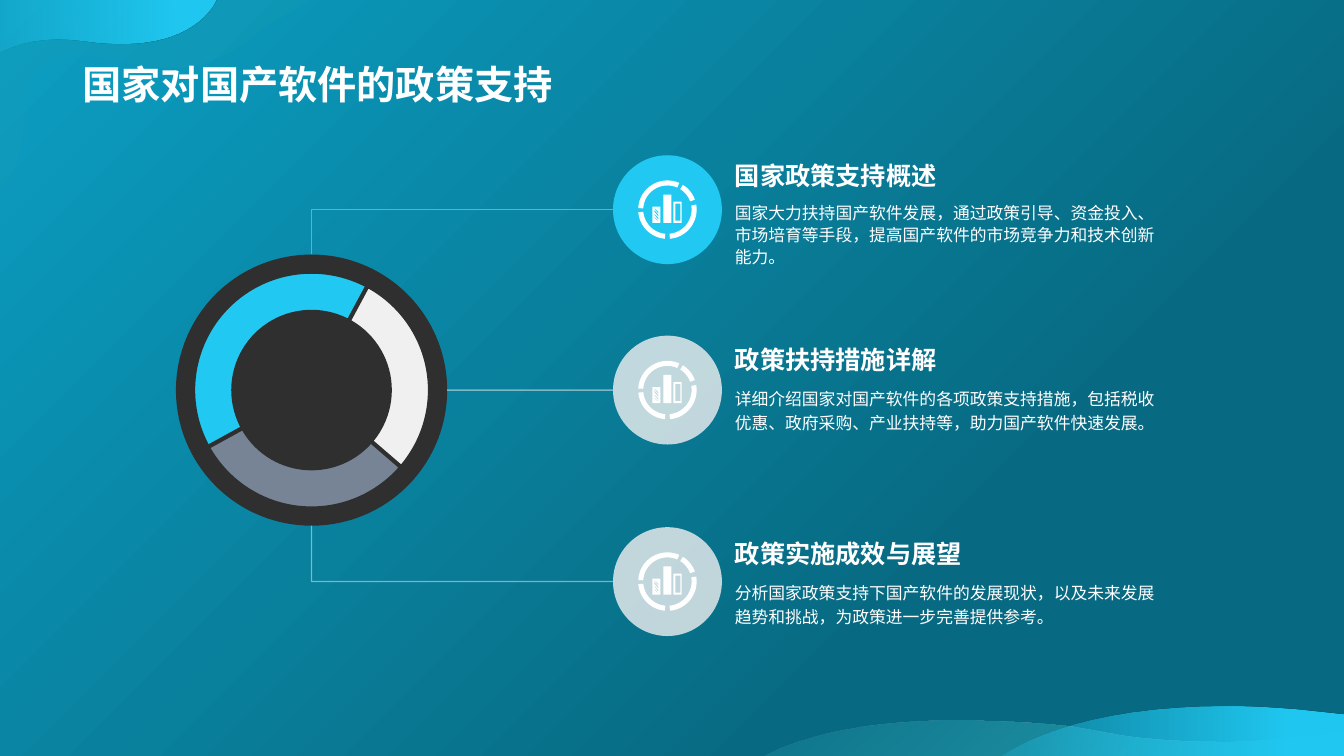
import math
from lxml import etree
from pptx import Presentation, util as u
from pptx.dml.color import RGBColor
from pptx.enum import shapes, text
from pptx.oxml.ns import qn

COLORS = {
    "bg_light": "0B9FC3", "bg_dark": "086A82", "cyan": "21C9F2", "teal": "29A0B0",
    "dark": "2F2F2F", "slate": "778495", "pale": "F0F0F0", "white": "FFFFFF",
}
FONT = "Arial"
TITLE = "国家对国产软件的政策支持"

ROWS = [
    dict(head="国家政策支持概述",
         body="国家大力扶持国产软件发展，通过政策引导、资金投入、市场培育等手段，提高国产软件的市场竞争力和技术创新能力。",
         top=1.54, head_top=1.54, spacing=1.1, circle=("cyan", 100),
         line=("cyan", 0.5, 100)),
    dict(head="政策扶持措施详解",
         body="详细介绍国家对国产软件的各项政策支持措施，包括税收优惠、政府采购、产业扶持等，助力国产软件快速发展。",
         top=3.33, head_top=3.37, spacing=1.2, circle=("pale", 80),
         line=("pale", 1, 50)),
    dict(head="政策实施成效与展望",
         body="分析国家政策支持下国产软件的发展现状，以及未来发展趋势和挑战，为政策进一步完善提供参考。",
         top=5.23, head_top=5.29, spacing=1.2, circle=("pale", 80),
         line=("pale", 1, 50)),
]

WAVES = [
    (dict(stops=[("teal", 0, 20), ("teal", 100, 100)], angle=50),
     [(9.56, 7.15), (9.89, 7.15, 10.38, 7.17, 10.7, 7.22),
      (11.03, 7.27, 11.79, 7.46, 13.19, 7.28), (13.33, 7.26), (13.33, 7.5),
      (7.57, 7.5), (7.65, 7.45, 8.23, 7.14, 9.56, 7.15)]),
    (dict(stops=[("cyan", 0, 20), ("cyan", 85, 100)], angle=0),
     [(12.19, 7.01), (12.47, 7.01, 12.79, 7.03, 13.13, 7.07), (13.33, 7.09),
      (13.33, 7.5), (9.93, 7.5), (10.03, 7.43, 10.68, 7, 12.19, 7.01)]),
    (dict(color="teal", alpha=15),
     [(-0.02, 1.86), (-0.02, 1.86, 0.26, 1.77, 0.24, 0.94),
      (0.24, 0.85, 0.36, 0.44, 1.14, 0.59), (1.57, 0.69, 1.99, 0.8, 2.55, 0.33),
      (2.63, 0.26, 3.08, 0, 3.08, 0), (0, 0)]),
    (dict(stops=[("cyan", 0, 20), ("cyan", 85, 100)], angle=0),
     [(0, 0), (2.15, 0), (2.12, 0.06), (1.9, 0.38, 1.44, 0.49, 0.85, 0.41),
      (0.42, 0.35, 0.15, 0.44, 0.02, 0.51), (0, 0.52)]),
]

RING_ARCS = [(95, 175), (-10, 85), (-58, -20), (183, 294)]
BARS = [(-0.15, -0.03, -0.07, 0.13), (-0.04, -0.15, 0.04, 0.13),
        (0.06, -0.08, 0.14, 0.13)]
BAR_HOLE = (0.08, -0.06, 0.13, 0.11)
HATCH = [
    [(-0.13, 0.1), (-0.13, 0.11), (-0.12, 0.11)],
    [(-0.13, 0.07), (-0.13, 0.08), (-0.1, 0.11), (-0.09, 0.11)],
    [(-0.13, 0.04), (-0.13, 0.05), (-0.09, 0.1), (-0.09, 0.08)],
    [(-0.13, 0), (-0.13, 0.02), (-0.09, 0.07), (-0.09, 0.05)],
    [(-0.13, -0.01), (-0.09, 0.04), (-0.09, 0.02), (-0.12, -0.01)],
    [(-0.1, -0.01), (-0.09, 0), (-0.09, -0.01)],
]

DIAL_X, DIAL_Y, DIAL_D, RING_D = 3.09, 3.87, 2.69, 2.35
CIRCLE_X, CIRCLE_D = 6.08, 1.08
TEXT_X, TEXT_W, HEAD_H, BODY_H = 7.19, 4.4, 0.4, 0.76


def paint(color_format, name, alpha=100):
    color_format.rgb = RGBColor.from_string(COLORS[name])
    if alpha < 100:
        clr = next(color_format._xFill.iter(qn("a:srgbClr")))
        etree.SubElement(clr, qn("a:alpha")).set("val", str(alpha * 1000))


def fill_solid(fill, name, alpha=100):
    fill.solid()
    paint(fill.fore_color, name, alpha)


def fill_gradient(fill, stops, angle):
    fill.gradient()
    fill.gradient_angle = (360 - angle) % 360
    for stop, (name, pos, alpha) in zip(fill.gradient_stops, stops):
        stop.position = pos / 100
        stop.color.rgb = RGBColor.from_string(COLORS[name])
        if alpha < 100:
            clr = next(stop._gs.iter(qn("a:srgbClr")))
            etree.SubElement(clr, qn("a:alpha")).set("val", str(alpha * 1000))


def put_text(sp, content, size, bold=False, spacing=None, anchor=text.MSO_ANCHOR.TOP):
    tf = sp.text_frame
    tf.word_wrap = True
    tf.auto_size = text.MSO_AUTO_SIZE.NONE
    tf.vertical_anchor = anchor
    p = tf.paragraphs[0]
    p.alignment = text.PP_ALIGN.LEFT
    if spacing:
        p.line_spacing = spacing
    r = p.add_run()
    r.text = content
    r.font.size, r.font.bold, r.font.name = u.Pt(size), bold, FONT
    paint_font = r.font.color
    paint_font.rgb = RGBColor.from_string(COLORS["white"])


def place(sp, x, y, w, h):
    sp.left, sp.top, sp.width, sp.height = (u.Inches(v) for v in (x, y, w, h))


def add_round(s, kind, x, y, d, color, alpha=100, outline=None, adj=()):
    sp = s.shapes.add_shape(kind, *(u.Inches(v) for v in (x, y, d, d)))
    sp.shadow.inherit = False
    fill_solid(sp.fill, color, alpha)
    if outline:
        fill_solid(sp.line.fill, outline)
        sp.line.width = u.Pt(3)
    else:
        sp.line.fill.background()
    for i, value in enumerate(adj):
        sp.adjustments[i] = value


def flatten(path, steps=16):
    points = [path[0]]
    for seg in path[1:]:
        if len(seg) == 2:
            points.append(seg)
            continue
        ctrl = [points[-1], seg[:2], seg[2:4], seg[4:]]
        for k in range(1, steps + 1):
            t = k / steps
            weights = [(1 - t) ** 3, 3 * t * (1 - t) ** 2, 3 * t * t * (1 - t), t ** 3]
            points.append(tuple(sum(w * c[i] for w, c in zip(weights, ctrl))
                                for i in (0, 1)))
    return points


def add_outline(s, contours, dx=0, dy=0):
    emu = [[(u.Inches(x + dx), u.Inches(y + dy)) for x, y in c] for c in contours]
    fb = s.shapes.build_freeform(*emu[0][0], scale=1.0)
    for i, c in enumerate(emu):
        if i:
            fb.move_to(*c[0])
        fb.add_line_segments(c[1:], close=True)
    sp = fb.convert_to_shape()
    sp.shadow.inherit = False
    sp.line.fill.background()
    return sp


def ring_arc(start, end, inner=0.24, outer=0.29, steps=16):
    angles = [math.radians(start + (end - start) * k / steps) for k in range(steps + 1)]
    return ([(outer * math.cos(a), outer * math.sin(a)) for a in angles]
            + [(inner * math.cos(a), inner * math.sin(a)) for a in reversed(angles)])


def rect(x1, y1, x2, y2):
    return [(x1, y1), (x2, y1), (x2, y2), (x1, y2)]


def add_link(s, start, end, color, width, alpha):
    straight = start[1] == end[1]
    kind = shapes.MSO_CONNECTOR.STRAIGHT if straight else shapes.MSO_CONNECTOR.ELBOW
    cn = s.shapes.add_connector(kind, *(u.Inches(v) for v in start + end))
    if not straight:
        cn._element.spPr.find(qn("a:prstGeom")).set("prst", "bentConnector2")
    fill_solid(cn.line.fill, color, alpha)
    cn.line.width = u.Pt(width)
    etree.SubElement(cn._element.spPr, qn("a:effectLst"))


def main():
    prs = Presentation()
    prs.slide_width, prs.slide_height = u.Inches(13.33), u.Inches(7.5)
    s = prs.slides.add_slide(prs.slide_layouts[5])
    fill_gradient(s.background.fill, [("bg_light", 0, 100), ("bg_dark", 72, 100)], 45)

    for style, path in WAVES:
        sp = add_outline(s, [flatten(path)])
        if "stops" in style:
            fill_gradient(sp.fill, **style)
        else:
            fill_solid(sp.fill, style["color"], style["alpha"])

    title = s.shapes.title
    place(title, 0.72, 0.14, 11.88, 0.98)
    put_text(title, TITLE, 28, bold=True, anchor=text.MSO_ANCHOR.BOTTOM)
    s.shapes._spTree.append(title._element)

    kinds = shapes.MSO_SHAPE
    radius = DIAL_D / 2
    add_round(s, kinds.OVAL, DIAL_X - radius, DIAL_Y - radius, DIAL_D, "dark")
    for kind, color, angles in [(kinds.DONUT, "cyan", ()),
                                (kinds.BLOCK_ARC, "slate", (352, 151.2)),
                                (kinds.BLOCK_ARC, "pale", (298.25, 40.72))]:
        add_round(s, kind, DIAL_X - RING_D / 2, DIAL_Y - RING_D / 2, RING_D, color,
                  outline="dark", adj=[a * 0.6 for a in angles] + [0.17])

    icon = ([ring_arc(*a) for a in RING_ARCS] + [rect(*b) for b in BARS]
            + [rect(*BAR_HOLE)[::-1]] + HATCH)
    ends = [(DIAL_X, DIAL_Y - radius), (DIAL_X + radius, DIAL_Y), (DIAL_X, DIAL_Y + radius)]
    for row, end in zip(ROWS, ends):
        mid = row["top"] + CIRCLE_D / 2
        add_link(s, (CIRCLE_X, mid), end, *row["line"])
        add_round(s, kinds.OVAL, CIRCLE_X, row["top"], CIRCLE_D, *row["circle"])
        sp = add_outline(s, icon, CIRCLE_X + CIRCLE_D / 2, mid)
        fill_solid(sp.fill, "white")
        for part, y, h, fmt in [
                ("head", row["head_top"], HEAD_H, dict(size=18, bold=True)),
                ("body", row["head_top"] + HEAD_H, BODY_H,
                 dict(size=12, spacing=row["spacing"]))]:
            box = s.shapes.add_textbox(0, 0, 0, 0)
            place(box, TEXT_X, y, TEXT_W, h)
            put_text(box, row[part], **fmt)
    prs.save("out.pptx")


if __name__ == "__main__":
    main()
